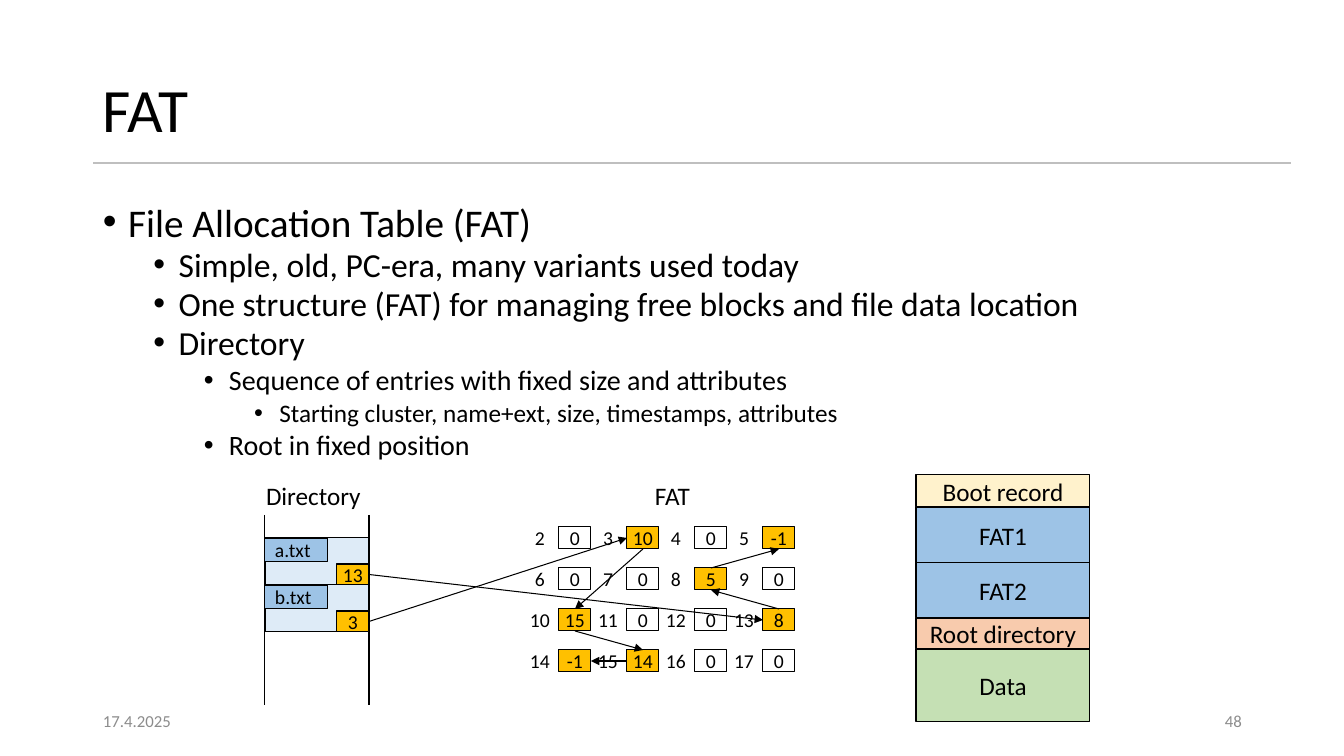
from dataclasses import dataclass
from typing import Optional

from lxml.etree import SubElement
from pptx import Presentation
from pptx.dml.color import RGBColor
from pptx.enum.shapes import MSO_CONNECTOR, MSO_SHAPE
from pptx.enum.text import MSO_ANCHOR, MSO_AUTO_SIZE, PP_ALIGN
from pptx.oxml.ns import qn
from pptx.util import Emu, Pt

EMU_PER_PX = 914400 / 100.8
TOP, LEFT, BOTTOM, RIGHT = range(4)


@dataclass(frozen=True)
class Theme:
    font: str = "Calibri"
    text: str = "000000"
    muted: str = "8C8C8C"
    rule: str = "BFBFBF"
    white: str = "FFFFFF"
    used: str = "FFC000"
    entry: str = "DEEBF7"
    blue: str = "9DC3E6"
    boot: str = "FFF2CC"
    root: str = "F8CBAD"
    data: str = "C5E0B4"
    title_size: int = 44
    list_sizes: tuple = (28, 24, 20, 18)
    label_size: int = 18
    cell_size: int = 14
    footer_size: int = 12
    line_width: float = 0.75
    rule_width: float = 1


@dataclass(frozen=True)
class Box:
    left: int
    top: int
    width: int
    height: int


@dataclass(frozen=True)
class Bullet:
    text: str
    level: int


@dataclass(frozen=True)
class Entry:
    name: str
    cluster: int


@dataclass(frozen=True)
class Region:
    name: str
    height: int
    fill: str


THEME = Theme()
BULLETS = (
    Bullet("File Allocation Table (FAT)", 0),
    Bullet("Simple, old, PC-era, many variants used today", 1),
    Bullet("One structure (FAT) for managing free blocks and file data location", 1),
    Bullet("Directory", 1),
    Bullet("Sequence of entries with fixed size and attributes", 2),
    Bullet("Starting cluster, name+ext, size, timestamps, attributes", 3),
    Bullet("Root in fixed position", 2),
)
ENTRIES = (Entry("a.txt", 13), Entry("b.txt", 3))
FIRST_CLUSTER = 2
FAT_COLUMNS = 4
FAT_VALUES = (0, 10, 0, -1, 0, 0, 5, 0, 15, 0, 0, 8, -1, 14, 0, 0)
REGIONS = (
    Region("Boot record", 32, THEME.boot),
    Region("FAT1", 56, THEME.blue),
    Region("FAT2", 55, THEME.blue),
    Region("Root directory", 31, THEME.root),
    Region("Data", 73, THEME.data),
)


def px(length: int) -> Emu:
    return Emu(round(length * EMU_PER_PX))


def bounds(box: Box) -> tuple:
    return px(box.left), px(box.top), px(box.width), px(box.height)


def format_frame(frame, *, anchor=MSO_ANCHOR.MIDDLE, wrap=False, inset=True) -> None:
    frame.auto_size = MSO_AUTO_SIZE.NONE
    frame.word_wrap = wrap
    frame.vertical_anchor = anchor
    across, down = (px(10), px(5)) if inset else (0, 0)
    frame.margin_left = frame.margin_right = across
    frame.margin_top = frame.margin_bottom = down


def write(paragraph, text: str, *, size: int, color: str = THEME.text,
          align=PP_ALIGN.LEFT, spacing: Optional[float] = None) -> None:
    paragraph.text = text
    paragraph.alignment = align
    if spacing:
        paragraph.line_spacing = spacing
    font = paragraph.font
    font.name, font.size = THEME.font, Pt(size)
    font.color.rgb = RGBColor.from_string(color)


def add_label(slide, box: Box, text: str, *, anchor=MSO_ANCHOR.MIDDLE,
              wrap=False, inset=True, **text_format) -> None:
    frame = slide.shapes.add_textbox(*bounds(box)).text_frame
    format_frame(frame, anchor=anchor, wrap=wrap, inset=inset)
    write(frame.paragraphs[0], text, **text_format)


def add_box(slide, box: Box, fill: str, text: str = "", *, inset=True,
            size: int = THEME.cell_size, align=PP_ALIGN.CENTER):
    shape = slide.shapes.add_shape(MSO_SHAPE.RECTANGLE, *bounds(box))
    shape.shadow.inherit = False
    shape.fill.solid()
    shape.fill.fore_color.rgb = RGBColor.from_string(fill)
    shape.line.color.rgb = RGBColor.from_string(THEME.text)
    shape.line.width = Pt(THEME.line_width)
    if text:
        format_frame(shape.text_frame, inset=inset)
        write(shape.text_frame.paragraphs[0], text, size=size, align=align)
    return shape


def add_line(slide, start: tuple = (0, 0), end: tuple = (0, 0), *,
             color: str = THEME.text, width: float = THEME.line_width):
    connector = slide.shapes.add_connector(
        MSO_CONNECTOR.STRAIGHT, *map(px, start + end))
    connector.line.color.rgb = RGBColor.from_string(color)
    connector.line.width = Pt(width)
    SubElement(connector._element.spPr, qn("a:effectLst"))
    return connector


def add_arrow(slide, source, source_side: int, target, target_side: int) -> None:
    arrow = add_line(slide)
    arrow.begin_connect(source, source_side)
    arrow.end_connect(target, target_side)
    SubElement(arrow.line._get_or_add_ln(), qn("a:tailEnd"), type="triangle")


def place(placeholder, box: Box) -> None:
    placeholder.left, placeholder.top, placeholder.width, placeholder.height = bounds(box)


def add_heading_and_list(slide) -> None:
    title, body = slide.shapes.title, slide.placeholders[1]
    place(title, Box(93, 40, 1072, 146))
    format_frame(title.text_frame, wrap=True)
    write(title.text_frame.paragraphs[0], "FAT", size=THEME.title_size, spacing=0.9)
    add_line(slide, (1291, 163), (93, 163), color=THEME.rule, width=THEME.rule_width)

    place(body, Box(93, 202, 1159, 275))
    frame = body.text_frame
    format_frame(frame, anchor=MSO_ANCHOR.TOP, wrap=True)
    for index, bullet in enumerate(BULLETS):
        paragraph = frame.add_paragraph() if index else frame.paragraphs[0]
        paragraph.level = bullet.level
        paragraph.space_before = Pt(5 if index else 0)
        properties = paragraph._p.get_or_add_pPr()
        properties.set("marL", str(228600 + 457200 * bullet.level))
        properties.set("indent", "-228600")
        SubElement(properties, qn("a:buFont"), typeface="Arial")
        SubElement(properties, qn("a:buChar"), char="•")
        write(paragraph, bullet.text, size=THEME.list_sizes[bullet.level], spacing=0.8)


def add_directory(slide) -> list:
    """Draw the directory and return its starting-cluster cells."""
    add_label(slide, Box(256, 475, 116, 40), "Directory",
              anchor=MSO_ANCHOR.TOP, size=THEME.label_size)
    for x in (265, 369):
        add_line(slide, (x, 515), (x, 705))
    starts = []
    for index, entry in enumerate(ENTRIES):
        top = 538 + 47 * index
        add_box(slide, Box(265, top, 104, 47), THEME.entry)
        add_box(slide, Box(265, top, 63, 24), THEME.blue, entry.name, align=PP_ALIGN.LEFT)
        starts.append(add_box(slide, Box(337, top + 26, 32, 21), THEME.used,
                              str(entry.cluster), inset=False))
    return starts


def add_fat(slide) -> dict:
    """Draw the allocation table and return its cells by cluster number."""
    add_label(slide, Box(645, 475, 55, 40), "FAT",
              anchor=MSO_ANCHOR.TOP, size=THEME.label_size)
    cells = {}
    for index, value in enumerate(FAT_VALUES):
        row, column = divmod(index, FAT_COLUMNS)
        left, top = 559 + 68 * column, 527 + 41 * row
        cluster = FIRST_CLUSTER + index
        fill = THEME.used if value else THEME.white
        cells[cluster] = add_box(slide, Box(left, top, 32, 22), fill, str(value), inset=False)
        add_label(slide, Box(left - 29, top - 1, 20, 24), str(cluster), inset=False,
                  size=THEME.cell_size, align=PP_ALIGN.CENTER)
    return cells


def add_chains(slide, starts: list, cells: dict) -> None:
    for start, entry in zip(starts, ENTRIES):
        add_arrow(slide, start, RIGHT, cells[entry.cluster], LEFT)
    for cluster, following in enumerate(FAT_VALUES, FIRST_CLUSTER):
        if following <= 0:
            continue
        source, target = cells[cluster], cells[following]
        if source.top == target.top:
            sides = (LEFT, RIGHT) if source.left > target.left else (RIGHT, LEFT)
        else:
            sides = (TOP, BOTTOM) if source.top > target.top else (BOTTOM, TOP)
        add_arrow(slide, source, sides[0], target, sides[1])


def add_disk_layout(slide) -> None:
    top = 475
    for region in REGIONS:
        add_box(slide, Box(916, top, 174, region.height), region.fill, region.name,
                size=THEME.label_size)
        top += region.height


def main() -> None:
    presentation = Presentation()
    presentation.slide_width, presentation.slide_height = px(1344), px(756)
    slide = presentation.slides.add_slide(presentation.slide_layouts[1])
    add_heading_and_list(slide)
    for left, text, align in ((93, "17.4.2025", PP_ALIGN.LEFT), (950, "48", PP_ALIGN.RIGHT)):
        add_label(slide, Box(left, 701, 302, 40), text, wrap=True,
                  size=THEME.footer_size, color=THEME.muted, align=align)
    starts = add_directory(slide)
    cells = add_fat(slide)
    add_chains(slide, starts, cells)
    add_disk_layout(slide)
    presentation.save("out.pptx")


if __name__ == "__main__":
    main()
